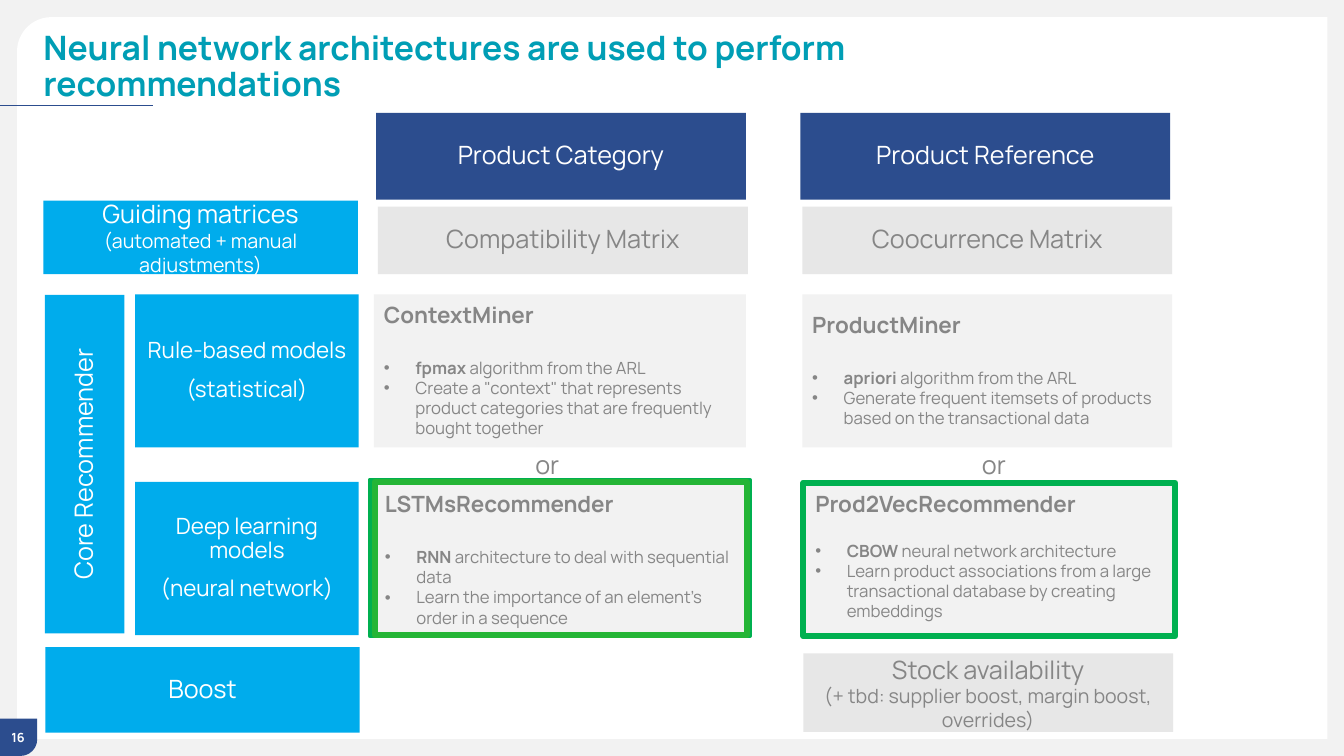
from lxml.etree import SubElement
from pptx import Presentation
from pptx.dml.color import RGBColor
from pptx.enum.shapes import MSO_CONNECTOR, MSO_SHAPE
from pptx.enum.text import MSO_ANCHOR, PP_ALIGN
from pptx.oxml.ns import qn
from pptx.util import Pt

WHITE, PALE, SILVER, GREY = "FFFFFF", "F2F2F2", "E7E7E7", "868686"
NAVY, SKY, TEAL = "2C4D8E", "00ACEC", "009EB5"
GREEN, BRIGHT_GREEN = "00B050", "25B536"


def color(value):
    return RGBColor.from_string(value)


def apply(target, values):
    for name, value in values.items():
        setattr(target, name, value)


class SlideBuilder:
    font_name = "Manrope"
    label_format = {"alignment": PP_ALIGN.CENTER, "line_spacing": 0.9, "space_after": Pt(10)}
    centered = {"alignment": PP_ALIGN.CENTER}

    def __init__(self, slide):
        self.slide = slide

    def box(self, left, top, width, height, fill=None, line=None, kind=MSO_SHAPE.RECTANGLE, rotation=0):
        """Place a shape by the area it covers after a quarter turn, if any."""
        if rotation:
            left, top = left + (width - height) / 2, top + (height - width) / 2
            width, height = height, width
        shape = self.slide.shapes.add_shape(kind, Pt(left), Pt(top), Pt(width), Pt(height))
        shape.shadow.inherit = False
        shape.rotation = rotation
        if fill:
            shape.fill.solid()
            shape.fill.fore_color.rgb = color(fill)
        else:
            shape.fill.background()
        if line:
            shape.line.color.rgb = color(line[0])
            shape.line.width = Pt(line[1])
        else:
            shape.line.fill.background()
        return shape

    def rule(self, left, right, top, line_color, width):
        connector = self.slide.shapes.add_connector(
            MSO_CONNECTOR.STRAIGHT, Pt(left), Pt(top), Pt(right), Pt(top))
        SubElement(connector._element.spPr, qn("a:effectLst"))
        connector.line.color.rgb = color(line_color)
        connector.line.width = Pt(width)

    def paragraph(self, frame, first, runs, size, text_color, layout, bullet=False):
        """Write (text, bold) runs as one paragraph."""
        paragraph = frame.paragraphs[0] if first else frame.add_paragraph()
        if bullet:
            properties = paragraph._p.get_or_add_pPr()
            properties.set("marL", str(Pt(22.5)))
            properties.set("indent", str(-Pt(22.5)))
            SubElement(properties, qn("a:buFont"), typeface="Arial")
            SubElement(properties, qn("a:buChar"), char="•")
        apply(paragraph, layout)
        for text, bold in runs:
            run = paragraph.add_run()
            run.text = text
            apply(run.font, {"name": self.font_name, "size": Pt(size), "bold": bold})
            run.font.color.rgb = color(text_color)

    def label(self, area, lines, text_color, fill=None, layout=None, rotation=0):
        """Draw a filled box with centred (text, size) lines."""
        frame = self.box(*area, fill, rotation=rotation).text_frame
        apply(frame, {"word_wrap": True, "vertical_anchor": MSO_ANCHOR.MIDDLE})
        for index, (text, size) in enumerate(lines):
            self.paragraph(frame, index == 0, [(text, False)], size, text_color,
                           layout or self.label_format)

    def plain_text(self, area, text, size, text_color, anchor, layout):
        text_box = self.slide.shapes.add_textbox(*map(Pt, area))
        apply(text_box.text_frame, {
            "word_wrap": True, "vertical_anchor": anchor, "margin_left": 0,
            "margin_right": 0, "margin_top": 0, "margin_bottom": 0})
        self.paragraph(text_box.text_frame, True, [(text, True)], size, text_color, layout)

    def card(self, area, heading, bullets, inset, gap, line=None):
        """Draw a model card: bold heading, then bullets of (text, bold) runs."""
        frame = self.box(*area, PALE, line).text_frame
        apply(frame, {"word_wrap": True, "vertical_anchor": MSO_ANCHOR.TOP,
                      "margin_top": Pt(inset), "margin_bottom": 0})
        left = {"alignment": PP_ALIGN.LEFT}
        self.paragraph(frame, True, [(heading, True)], 16, GREY, {**left, "space_after": Pt(gap)})
        for runs in bullets:
            self.paragraph(frame, False, runs, 12, GREY, left, bullet=True)


def main():
    presentation = Presentation()
    apply(presentation, {"slide_width": Pt(960), "slide_height": Pt(540)})
    slide = presentation.slides.add_slide(presentation.slide_layouts[6])
    slide.background.fill.solid()
    slide.background.fill.fore_color.rgb = color(PALE)
    builder = SlideBuilder(slide)

    panel = builder.box(12.2, 12.2, 936, 515.6, WHITE, kind=MSO_SHAPE.ROUND_1_RECTANGLE, rotation=270)
    panel.adjustments[0] = 0.0475
    builder.plain_text((31, 22.3, 759.6, 52.6),
                       "Neural network architectures are used to perform recommendations",
                       24, TEAL, MSO_ANCHOR.TOP, {"line_spacing": 0.9})
    page_tab = builder.box(0, 513.4, 26.6, 26.6, NAVY, kind=MSO_SHAPE.ROUND_1_RECTANGLE, rotation=90)
    page_tab.adjustments[0] = 0.449
    builder.plain_text((4.3, 521.3, 17.3, 10.8), "16", 9, WHITE, MSO_ANCHOR.MIDDLE, builder.centered)
    builder.rule(0, 109.4, 75.6, NAVY, 0.75)

    rule_top, deep_top, card_height = 210.2, 344.2, 109.4
    columns = [(268.6, "Product Category", "Compatibility Matrix"),
               (571.7, "Product Reference", "Coocurrence Matrix")]
    for left, header, matrix in columns:
        builder.label((left, 80.6, 264.2, 62), [(header, 18)], WHITE, NAVY)
        builder.label((left + 1.4, 147.6, 264.2, 48.2), [(matrix, 18)], GREY, SILVER)

    builder.label((31, 143.3, 224.6, 52.6),
                  [("Guiding matrices", 18), ("(automated + manual adjustments)", 14)],
                  WHITE, SKY, builder.centered)
    builder.label((32, 210.6, 56.9, 241.9), [("Core Recommender", 18)], WHITE, SKY, rotation=270)
    model_kinds = [(rule_top, "Rule-based models", "(statistical)"),
                   (deep_top, "Deep learning models", "(neural network)")]
    for top, name, method in model_kinds:
        builder.label((96.5, top, 159.8, card_height), [(name, 16), (method, 16)], WHITE, SKY)
    builder.label((32.4, 462.2, 224.6, 61.2), [("Boost", 18)], WHITE, SKY)
    builder.label((573.8, 466.6, 264.2, 56.2),
                  [("Stock availability", 18),
                   ("(+ tbd: supplier boost, margin boost, overrides)", 14)],
                  GREY, SILVER, builder.centered)

    builder.box(264.2, 342.7, 271.4, 111.6, WHITE, (GREEN, 3))
    builder.card((267.1, rule_top, 265.7, card_height), "ContextMiner", [
        [("fpmax ", True), ("algorithm from the ARL", False)],
        [('Create a "context" that represents product categories that are '
          "frequently bought together", False)]], 4.7, 21.4)
    builder.card((573.1, rule_top, 264.2, card_height), "ProductMiner", [
        [("apriori ", True), ("algorithm from the ARL", False)],
        [("Generate frequent itemsets of products based on the transactional data", False)]],
        11.9, 21.4)
    builder.card((267.8, deep_top, 265.7, card_height), "LSTMsRecommender", [
        [("RNN", True), (" architecture to deal with sequential data", False)],
        [("Learn the importance of an element’s order in a sequence", False)]],
        5.8, 21.4, (BRIGHT_GREEN, 4.5))
    builder.card((575.3, deep_top, 262.1, card_height), "Prod2VecRecommender", [
        [("CBOW", True), (" neural network architecture", False)],
        [("Learn product associations from a large transactional database by "
          "creating embeddings", False)]], 5.8, 16.7)
    builder.box(573.8, 344.9, 265.7, card_height, line=(GREEN, 4.5))

    for left in (370.8, 689.8):
        builder.label((left, 317.5, 40.3, 28.8), [("or", 18)], GREY, layout=builder.centered)

    presentation.save("out.pptx")


if __name__ == "__main__":
    main()
